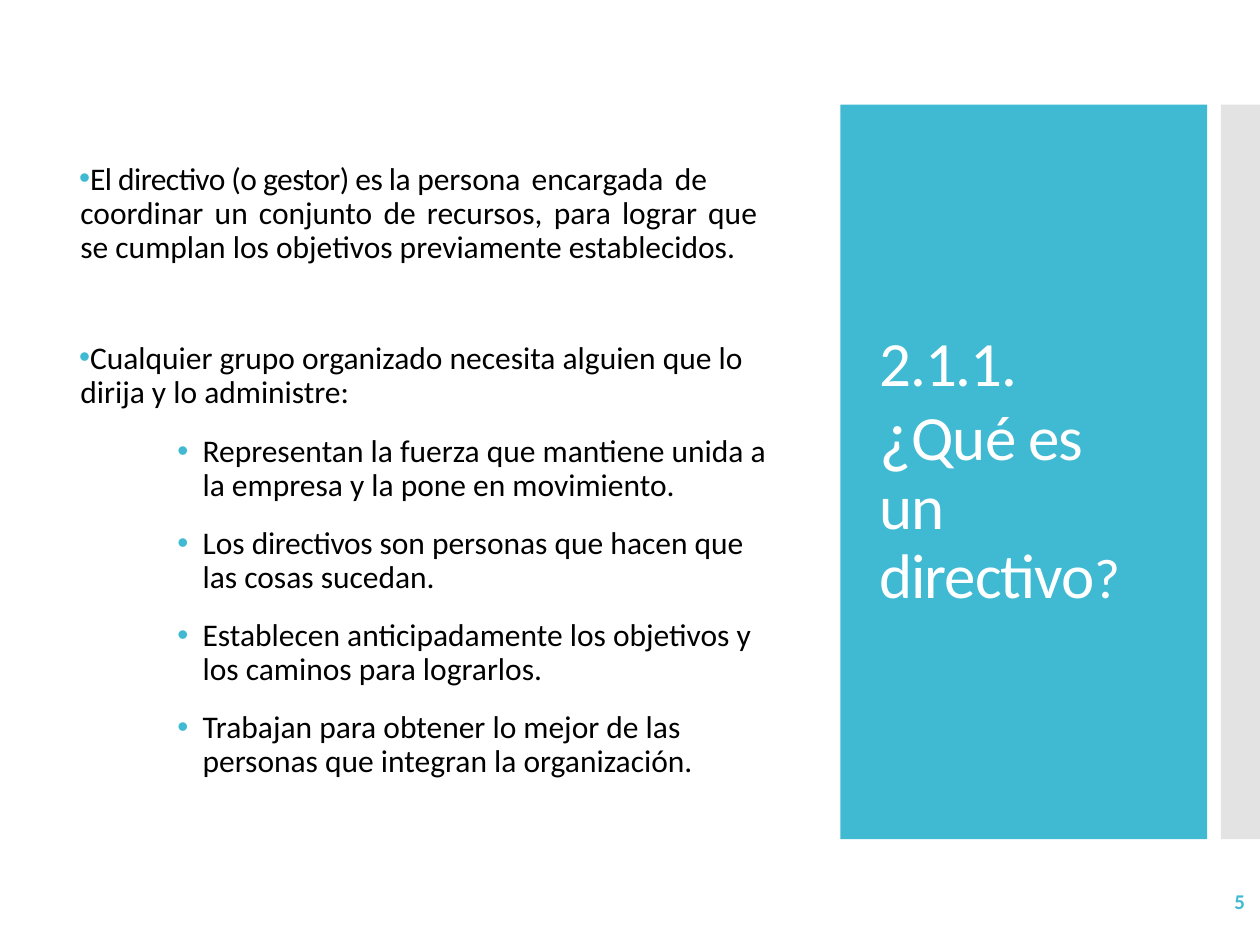
import pptx
import pptx.dml.color
import pptx.enum.shapes
import pptx.enum.text
import pptx.oxml
import pptx.oxml.ns
import pptx.util
from dataclasses import dataclass

Inches = pptx.util.Inches
Pt = pptx.util.Pt
RGB = pptx.dml.color.RGBColor.from_string
ALIGN = pptx.enum.text.PP_ALIGN


@dataclass(frozen=True)
class Theme:
    accent: str = "40BAD2"
    strip: str = "C8C8C8"
    white: str = "FFFFFF"
    black: str = "000000"
    font: str = "Calibri"
    title: int = 36
    title_mark: int = 40
    title_end: int = 32
    body: int = 18
    number: int = 12


theme = Theme()


def add_text(p, text, size=theme.body, color=theme.black, bold=False, spacing=0):
    r = p.add_run()
    r.text = text
    r.font.name = theme.font
    r.font.size = Pt(size)
    r.font.bold = bold
    r.font.color.rgb = RGB(color)
    if spacing:
        r._r.get_or_add_rPr().set("spc", str(round(spacing * 100)))


def add_box(left, top, width, height):
    tf = s.shapes.add_textbox(Inches(left), Inches(top), Inches(width), Inches(height)).text_frame
    tf.word_wrap = True
    tf.vertical_anchor = pptx.enum.text.MSO_ANCHOR.MIDDLE
    return tf


prs = pptx.Presentation()
prs.slide_width = Inches(10)
prs.slide_height = Inches(7.5)
s = prs.slides.add_slide(prs.slide_layouts[6])

for left, width, color, alpha in [(6.67, 2.91, theme.accent, 100), (9.69, 0.31, theme.strip, 50)]:
    sp = s.shapes.add_shape(
        pptx.enum.shapes.MSO_SHAPE.RECTANGLE, Inches(left), Inches(0.83), Inches(width), Inches(5.83)
    )
    sp.shadow.inherit = False
    sp.fill.solid()
    sp.fill.fore_color.rgb = RGB(color)
    sp.line.fill.background()
    if alpha < 100:
        clr = sp._element.spPr.find(".//" + pptx.oxml.ns.qn("a:srgbClr"))
        clr.append(pptx.oxml.parse_xml(
            f'<a:alpha {pptx.oxml.ns.nsdecls("a")} val="{alpha * 1000}"/>'
        ))

tf = add_box(6.88, 1.23, 2.42, 5.03)
tf.margin_right = Inches(0.2)
p = tf.paragraphs[0]
p.line_spacing = 0.9
for text, size in [
    ("2.1.1. ", theme.title),
    ("¿", theme.title_mark),
    ("Qué es un directivo", theme.title),
    ("?", theme.title_end),
]:
    add_text(p, text, size=size, color=theme.white, spacing=-0.6)

definition = [("El directivo (o gestor) es la ", -0.3)]
for word in "persona encargada de coordinar un conjunto de recursos, para lograr que".split():
    definition += [(word, 0), (" ", 2.3)]
definition.append(("se cumplan los objetivos previamente establecidos.", 0))

paragraphs = [
    (0, 0, definition),
    (0, 44, [("Cualquier grupo organizado necesita alguien que lo dirija y lo administre:", 0)]),
    (1, 14.6, [("Representan la fuerza que mantiene unida a la empresa y la pone en movimiento.", 0)]),
    (1, 13.7, [("Los ", 0), ("directivos ", -0.2), ("son personas que hacen que las cosas sucedan.", 0)]),
    (1, 13.7, [("Establecen anticipadamente los objetivos y los caminos para lograrlos.", 0)]),
    (1, 13.7, [("Trabajan para obtener lo mejor de las personas que integran la organización.", 0)]),
]
indents = [(0.01, -0.01), (0.98, -0.2)]

tf = add_box(0.53, 0.94, 5.73, 5.6)
for i, (level, before, runs) in enumerate(paragraphs):
    p = tf.paragraphs[0] if i == 0 else tf.add_paragraph()
    p.level = level
    p.line_spacing = 0.9
    p.space_before = Pt(before)
    pPr = p._p.get_or_add_pPr()
    margin, indent = indents[level]
    pPr.set("marL", str(Inches(margin)))
    pPr.set("indent", str(Inches(indent)))
    for xml in [
        f'<a:buClr {{}}><a:srgbClr val="{theme.accent}"/></a:buClr>',
        '<a:buFont {} typeface="Arial"/>',
        '<a:buChar {} char="•"/>',
    ]:
        pPr.append(pptx.oxml.parse_xml(xml.format(pptx.oxml.ns.nsdecls("a"))))
    for text, spacing in runs:
        add_text(p, text, spacing=spacing)

tf = add_box(8.72, 6.95, 1.26, 0.4)
p = tf.paragraphs[0]
p.alignment = ALIGN.RIGHT
add_text(p, "5", size=theme.number, color=theme.accent, bold=True)

prs.save("out.pptx")
